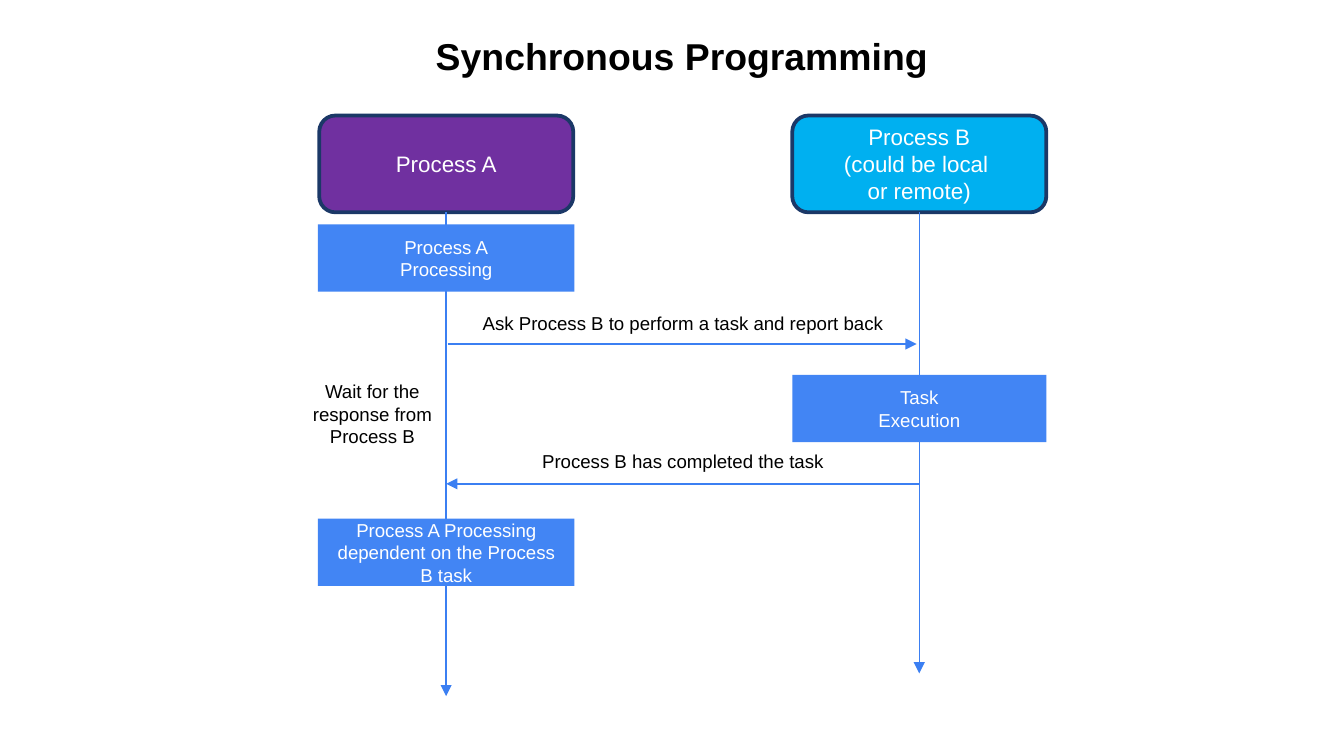
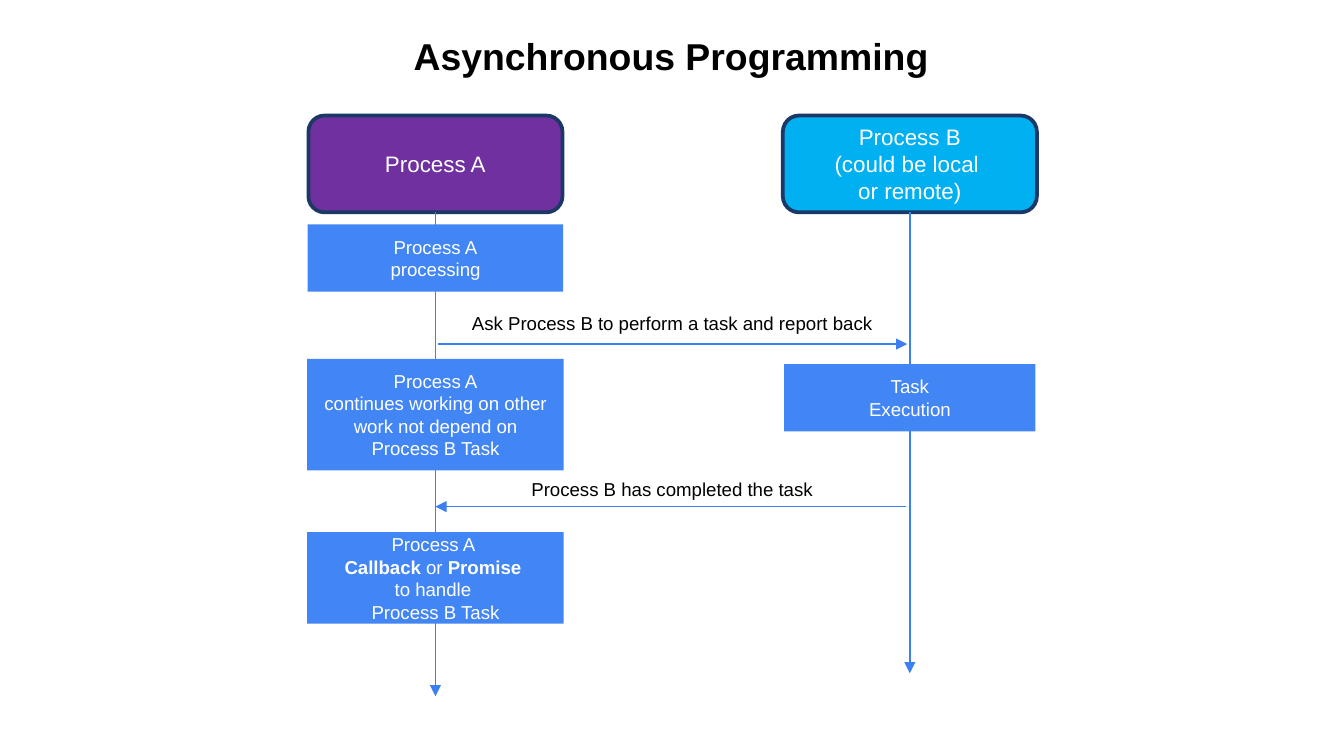
from lxml import etree
from pptx import Presentation
from pptx.dml.color import RGBColor
from pptx.enum.shapes import MSO_CONNECTOR as Connector, MSO_SHAPE as Shape
from pptx.enum.text import MSO_ANCHOR as Anchor, MSO_AUTO_SIZE as AutoSize, PP_ALIGN as Align
from pptx.oxml.ns import qn
from pptx.util import Inches, Pt

COLOURS = {
    "process_a": "7030A0",
    "process_b": "00B0F0",
    "head_border": "1B3867",
    "step": "4285F4",
    "arrow": "3B7FF2",
    "light": "FFFFFF",
    "dark": "000000",
}
FONT = "Arial"

# Shared by both sequence diagrams: participant, colour, label, lifeline end
HEADS = [
    ("a", "process_a", ["Process A"], 5.18),
    ("b", "process_b", ["Process B", "(could be local ", "or remote)"], 5.01),
]
HEAD_TOP, HEAD_WIDTH, HEAD_HEIGHT = 0.86, 1.89, 0.72
TITLE_TOP, TITLE_WIDTH, TITLE_HEIGHT = 0.2, 5.41, 0.44
LABEL_WIDTH, LABEL_HEIGHT = 3.5, 0.27
ASK = "Ask Process B to perform a task and report back"
DONE = "Process B has completed the task"

# lifelines: centre x of each participant
# steps: participant, top, width, height, paragraphs (a list is bold/plain runs)
# messages: text, label top, arrow y, arrow start x, arrow end x
# notes: left, top, width, height, paragraphs
DIAGRAMS = [
    {
        "title": "Synchronous Programming",
        "lifelines": {"a": 3.32, "b": 6.84},
        "steps": [
            ("b", 2.79, 1.89, 0.5, ["Task", "Execution"]),
            ("a", 1.67, 1.91, 0.5, ["Process A", "Processing"]),
            ("a", 3.86, 1.91, 0.5,
             ["Process A Processing dependent on the Process B task"]),
        ],
        "messages": [
            (ASK, 2.27, 2.56, 3.33, 6.82),
            (DONE, 3.3, 3.6, 6.84, 3.32),
        ],
        "notes": [
            (2.21, 2.78, 1.12, 0.61, ["Wait for the response from", "Process B"]),
        ],
    },
    {
        "title": "Asynchronous Programming",
        "lifelines": {"a": 3.24, "b": 6.77},
        "steps": [
            ("b", 2.71, 1.87, 0.5, ["Task", "Execution"]),
            ("a", 1.67, 1.9, 0.5, ["Process A", "processing"]),
            ("a", 2.67, 1.91, 0.83,
             ["Process A",
              "continues working on other work not depend on Process B Task"]),
            ("a", 3.96, 1.91, 0.68,
             ["Process A ",
              [("Callback", True), (" or ", False), ("Promise ", True)],
              "to handle ",
              "Process B Task"]),
        ],
        "messages": [
            (ASK, 2.27, 2.56, 3.26, 6.75),
            (DONE, 3.51, 3.77, 6.74, 3.24),
        ],
        "notes": [],
    },
]


def colour(name):
    return RGBColor.from_string(COLOURS[name])


def write(shape, paragraphs, size, ink, anchor=Anchor.MIDDLE, bold=False):
    """Fill a shape with centred paragraphs."""
    frame = shape.text_frame
    frame.word_wrap = True
    frame.auto_size = AutoSize.NONE
    frame.vertical_anchor = anchor
    for index, content in enumerate(paragraphs):
        paragraph = frame.add_paragraph() if index else frame.paragraphs[0]
        paragraph.alignment = Align.CENTER
        runs = [(content, bold)] if isinstance(content, str) else content
        for text, is_bold in runs:
            run = paragraph.add_run()
            run.text = text
            style = {"name": FONT, "size": Pt(size), "bold": is_bold}
            for attribute, value in style.items():
                setattr(run.font, attribute, value)
            run.font.color.rgb = colour(ink)


def add_box(slide, kind, centre, top, width, height, fill, paragraphs, size, border=None):
    """Add a filled box centred on a lifeline."""
    box = slide.shapes.add_shape(
        kind, *map(Inches, (centre - width / 2, top, width, height)))
    box.shadow.inherit = False
    box.fill.solid()
    box.fill.fore_color.rgb = colour(fill)
    if border:
        box.line.color.rgb = colour(border)
        box.line.width = Pt(2)
    else:
        box.line.fill.background()
    write(box, paragraphs, size, "light")


def add_label(slide, left, top, width, height, paragraphs):
    label = slide.shapes.add_textbox(*map(Inches, (left, top, width, height)))
    write(label, paragraphs, 10, "dark", Anchor.TOP)


def add_arrow(slide, x1, y1, x2, y2):
    arrow = slide.shapes.add_connector(
        Connector.STRAIGHT, *map(Inches, (x1, y1, x2, y2)))
    arrow.line.color.rgb = colour("arrow")
    arrow.line.width = Pt(0.75)
    properties = arrow._element.spPr
    etree.SubElement(properties.find(qn("a:ln")), qn("a:tailEnd"), type="triangle")
    etree.SubElement(properties, qn("a:effectLst"))


def add_title(slide, text, left):
    title = slide.shapes.title
    place = {"left": left, "top": TITLE_TOP, "width": TITLE_WIDTH, "height": TITLE_HEIGHT}
    for attribute, value in place.items():
        setattr(title, attribute, Inches(value))
    write(title, [text], 20, "dark", Anchor.TOP, bold=True)


def build_diagram(presentation, diagram):
    slide = presentation.slides.add_slide(presentation.slide_layouts[5])
    lifelines = diagram["lifelines"]
    add_title(slide, diagram["title"], lifelines["a"] - 0.95)

    # Participants and their lifelines
    for participant, fill, paragraphs, end in HEADS:
        x = lifelines[participant]
        add_box(slide, Shape.ROUNDED_RECTANGLE, x, HEAD_TOP, HEAD_WIDTH, HEAD_HEIGHT,
                fill, paragraphs, 12, "head_border")
        add_arrow(slide, x, HEAD_TOP + HEAD_HEIGHT, x, end)

    # Messages between the participants
    for text, label_top, y, start, end in diagram["messages"]:
        add_arrow(slide, start, y, end, y)
        add_label(slide, lifelines["a"] + 0.01, label_top, LABEL_WIDTH, LABEL_HEIGHT, [text])

    for note in diagram["notes"]:
        add_label(slide, *note)

    # Steps cover the lifelines
    for participant, top, width, height, paragraphs in diagram["steps"]:
        add_box(slide, Shape.RECTANGLE, lifelines[participant], top, width, height,
                "step", paragraphs, 10)


def main():
    presentation = Presentation()
    # Widescreen, 16:9
    presentation.slide_width = Inches(10)
    presentation.slide_height = Inches(10 * 9 / 16)
    for diagram in DIAGRAMS:
        build_diagram(presentation, diagram)
    presentation.save("out.pptx")


if __name__ == "__main__":
    main()
